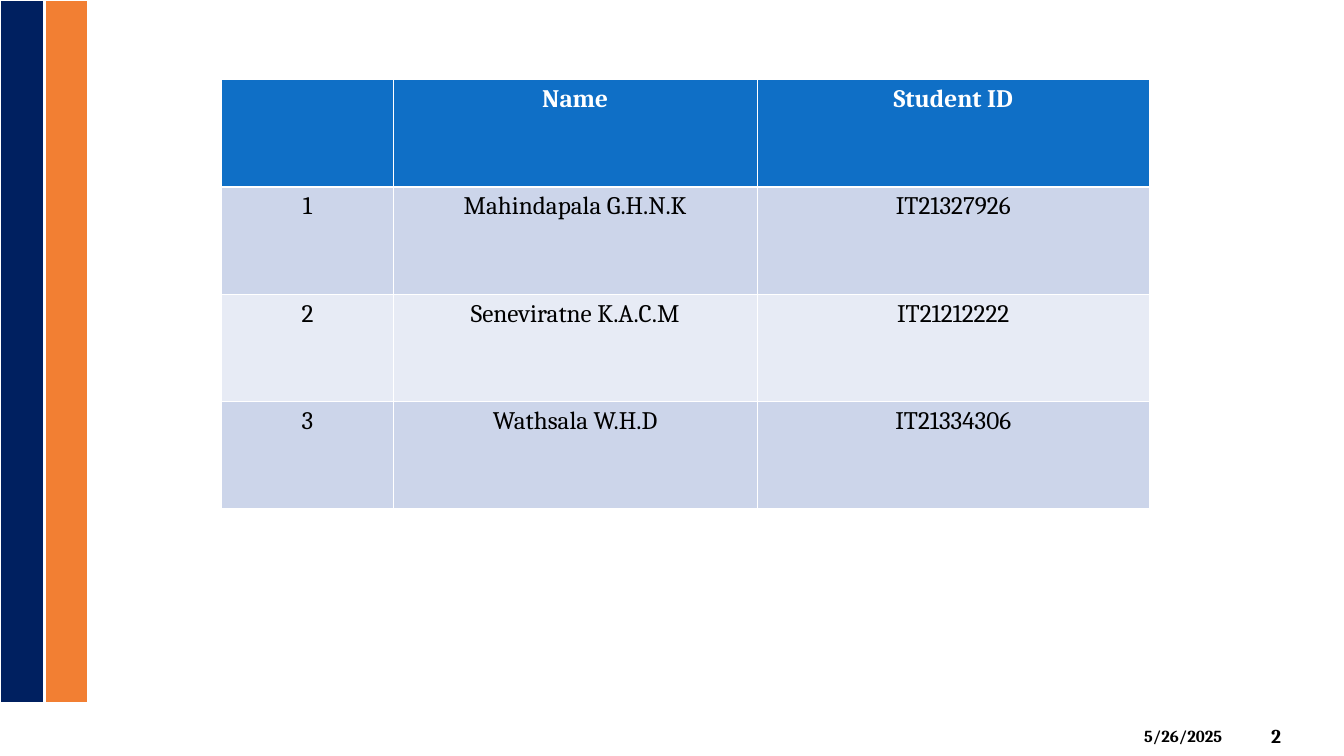
from pptx import Presentation
from pptx.dml.color import RGBColor
from pptx.enum.shapes import MSO_SHAPE as Shape
from pptx.enum.text import MSO_ANCHOR as Anchor, PP_ALIGN as Align
from pptx.util import Inches, Pt

WHITE, BLACK = "FFFFFF", "000000"
NAVY, ORANGE, BLUE = "002060", "F27F33", "0F6FC6"
BANDS = ["CCD5EA", "E7EBF5"]
TEAM = [
    ["", "Name", "Student ID"],
    ["1", "Mahindapala G.H.N.K", "IT21327926"],
    ["2", "Seneviratne K.A.C.M", "IT21212222"],
    ["3", "Wathsala W.H.D", "IT21334306"],
]


def color(code):
    return RGBColor.from_string(code)


def write(frame, text, size=18, ink=BLACK, bold=False, align=Align.LEFT):
    para = frame.paragraphs[0]
    para.text = text
    para.alignment = align
    font = para.font
    font.name, font.size, font.bold = "Cambria", Pt(size), bold
    font.color.rgb = color(ink)


def paint(target, code):
    target.fill.solid()
    target.fill.fore_color.rgb = color(code)


def add_bars(slide, left, top, width, height):
    """Two equal vertical bars side by side."""
    bars = slide.shapes.add_group_shape()
    step = width / 2
    for i, code in enumerate([NAVY, ORANGE]):
        bar = bars.shapes.add_shape(
            Shape.RECTANGLE, Inches(left + i * step), Inches(top),
            Inches(step), Inches(height))
        bar.shadow.inherit = False
        paint(bar, code)
        bar.line.color.rgb = color(WHITE)
        bar.line.width = Pt(2)


def add_team(slide, left, top, width, height):
    """Team table; the table style draws its white rules."""
    shares = [1.7, 3.61, 3.89]
    table = slide.shapes.add_table(
        len(TEAM), len(shares), Inches(left), Inches(top),
        Inches(width), Inches(height)).table
    for col, share in zip(table.columns, shares):
        col.width = Inches(width * share / sum(shares))
    for r, row in enumerate(TEAM):
        head = r == 0
        for c, text in enumerate(row):
            cell = table.cell(r, c)
            paint(cell, BLUE if head else BANDS[(r - 1) % 2])
            write(cell.text_frame, text, ink=WHITE if head else BLACK,
                  bold=head, align=Align.CENTER)


def add_note(slide, text, size, left, top, width, height, anchor=Anchor.TOP):
    """One bold footer entry."""
    frame = slide.shapes.add_textbox(
        Inches(left), Inches(top), Inches(width), Inches(height)).text_frame
    frame.word_wrap = True
    frame.vertical_anchor = anchor
    write(frame, text, size=size, bold=True)


def main():
    deck = Presentation()
    deck.slide_width, deck.slide_height = Inches(13.33), Inches(7.5)
    slide = deck.slides.add_slide(deck.slide_layouts[6])

    # Footer
    add_note(slide, "2", 14, 12.51, 7.1, 0.74, 0.4, Anchor.MIDDLE)
    add_note(slide, "5/26/2025", 12, 11.25, 7.15, 1.17, 0.3)

    # Side bars and team
    add_bars(slide, 0, 0, 0.88, 6.98)
    add_team(slide, 2.2, 0.79, 9.2, 4.26)

    deck.save("out.pptx")


if __name__ == "__main__":
    main()
